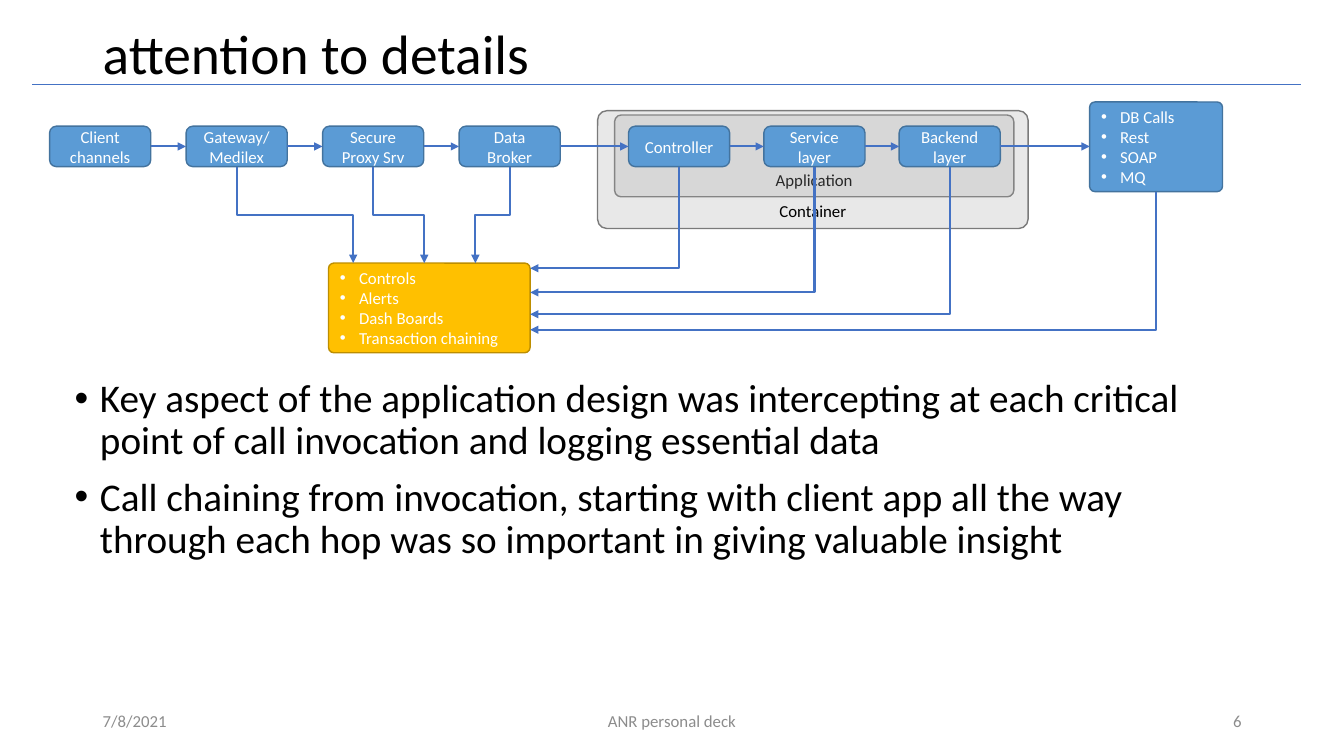
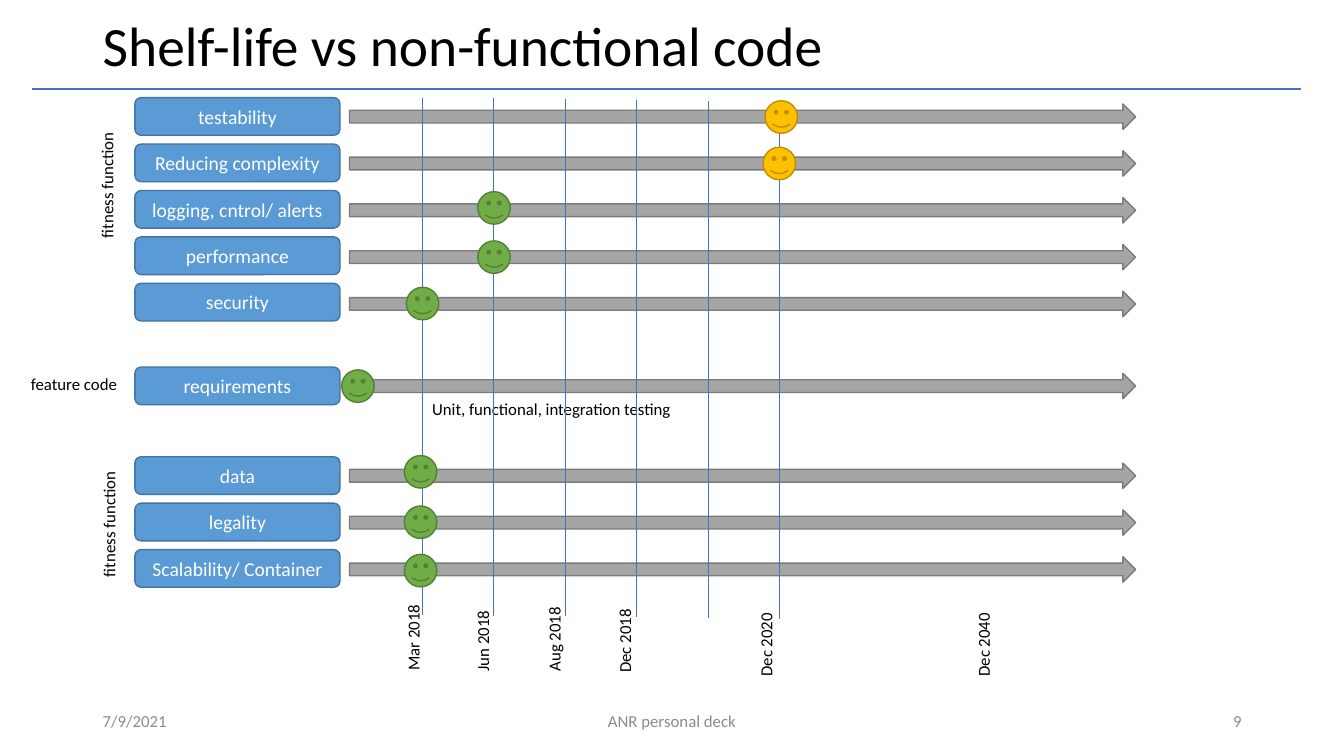
from itertools import pairwise

from lxml.etree import SubElement as Sub
from pptx import Presentation
from pptx.dml.color import RGBColor as RGB
from pptx.enum.shapes import MSO_CONNECTOR as LINK, MSO_SHAPE as SHAPE
from pptx.enum.text import MSO_ANCHOR as ANCHOR, PP_ALIGN as ALIGN
from pptx.oxml.ns import qn
from pptx.util import Cm, Pt

# Shared look
FONT = "Calibri"
BLACK, WHITE, GREY = RGB(0, 0, 0), RGB(255, 255, 255), RGB(0x8C, 0x8C, 0x8C)
RULE = RGB(0x44, 0x72, 0xC4)
BLUE = RGB(0x5B, 0x9B, 0xD5), RGB(0x43, 0x73, 0x9E)  # fill, line
STEEL = RGB(0xA5, 0xA5, 0xA5), RGB(0x7A, 0x7A, 0x7A)
AMBER = RGB(0xFF, 0xC0, 0x00), RGB(0xBD, 0x8E, 0x00)
GREEN = RGB(0x70, 0xAD, 0x47), RGB(0x53, 0x80, 0x35)
OWNER = "ANR personal deck"

# Slide 1 content
CHAIN = ["Client channels", "Gateway/ Medilex", "Secure Proxy Srv", "Data Broker"]
LAYERS = ["Controller", "Service layer", "Backend layer"]
CALLS = ["DB Calls", "Rest", "SOAP", "MQ"]
WATCH = ["Controls", "Alerts", "Dash Boards", "Transaction chaining"]
FRAMES = [  # text, left, top, width, height
    ("Application", 15.49, 2.9, 10.06, 2.06),
    ("Container", 15.06, 2.79, 10.85, 2.97),
]
POINTS = [
    "Key aspect of the application design was intercepting at each critical "
    "point of call invocation and logging essential data",
    "Call chaining from invocation, starting with client app all the way "
    "through each hop was so important in giving valuable insight",
]
DROPS = [8.9, 10.69, 11.98]  # where the chain enters the watch box
BACKS = [6.76, 7.37, 7.92, 8.31]  # heights where the layers and calls enter it

# Slide 2 content: top of each group, then text, face left, face top, face colour
GROUPS = [
    (2.46, [
        ("testability", 19.28, 2.54, AMBER),
        ("Reducing complexity", 19.23, 3.71, AMBER),
        ("logging, cntrol/ alerts", 12.04, 4.83, GREEN),
        ("performance", 12.04, 6.07, GREEN),
        ("security", 10.24, 7.24, GREEN),
    ]),
    (9.25, [("requirements", 8.61, 9.32, GREEN)]),
    (11.51, [
        ("data", 10.19, 11.48, GREEN),
        ("legality", 10.19, 12.75, GREEN),
        ("Scalability/ Container", 10.19, 13.97, GREEN),
    ]),
]
LABELS = [  # text, left, top, width, turn
    ("fitness function", 1.12, 12.78, 3.25, 270),
    ("fitness function", 1.07, 4.24, 3.25, 270),
    ("feature code", 0.53, 9.3, 3.25, 0),
    ("Unit, functional, integration testing", 10.64, 9.93, 8.08, 0),
    ("Mar 2018", 8.79, 15.14, 3.25, 270),
    ("Jun 2018", 10.54, 15.16, 3.25, 270),
    ("Aug 2018", 12.34, 15.16, 3.25, 270),
    ("Dec 2018", 14.12, 15.19, 3.25, 270),
    ("Dec 2020", 17.68, 15.29, 3.25, 270),
    ("Dec 2040", 23.16, 15.29, 3.25, 270),
]


def write(shape, lines, size, color, align=ALIGN.LEFT, anchor=ANCHOR.MIDDLE,
          indent=0, gap=0, space=None):
    """Fill a shape with paragraphs; an indent makes them bullets."""
    frame = shape.text_frame
    frame.word_wrap = True
    frame.vertical_anchor = anchor
    for i, line in enumerate(lines):
        para = frame.add_paragraph() if i else frame.paragraphs[0]
        para.text = line
        para.alignment = align
        if space:
            para.line_spacing = space
        if i and gap:
            para.space_before = Pt(gap)
        if indent:
            props = para._p.get_or_add_pPr()
            props.set("marL", str(Cm(indent)))
            props.set("indent", str(-Cm(indent)))
            Sub(props, qn("a:buFont"), typeface="Arial")
            Sub(props, qn("a:buChar"), char="•")
        font = para.font
        font.name, font.size, font.color.rgb = FONT, Pt(size), color


def label(slide, box, lines, size, color=BLACK, **style):
    shape = slide.shapes.add_textbox(*map(Cm, box))
    write(shape, lines, size, color, **style)
    return shape


def block(slide, kind, box, paint, round_by=None):
    shape = slide.shapes.add_shape(kind, *map(Cm, box))
    shape.shadow.inherit = False
    shape.fill.solid()
    shape.fill.fore_color.rgb, shape.line.color.rgb = paint
    shape.line.width = Pt(1)
    if round_by:
        shape.adjustments[0] = round_by
    return shape


def link(slide, start, end, width, kind=LINK.STRAIGHT, arrow=False):
    wire = slide.shapes.add_connector(kind, *map(Cm, (*start, *end)))
    wire.line.color.rgb, wire.line.width = RULE, Pt(width)
    if arrow:
        Sub(wire.line._get_or_add_ln(), qn("a:tailEnd"), type="triangle")
    Sub(wire._element.spPr, qn("a:effectLst"))
    return wire


def bend(slide, start, end, preset):
    """Elbow arrow that leaves downwards: a sideways elbow, turned."""
    (x1, y1), (x2, y2) = start, end
    mid_x, mid_y = (x1 + x2) / 2, (y1 + y2) / 2
    half_w, half_h = (y2 - y1) / 2, abs(x2 - x1) / 2
    right = x2 > x1
    if right:
        half_w = -half_w
    wire = link(slide, (mid_x - half_w, mid_y - half_h),
                (mid_x + half_w, mid_y + half_h), 1.5, LINK.ELBOW, True)
    props = wire._element.spPr
    props.find(qn("a:xfrm")).set("rot", str((270 if right else 90) * 60000))
    props.find(qn("a:prstGeom")).set("prst", preset)


def start_slide(deck, title, top, rule, date, number):
    slide = deck.slides.add_slide(deck.slide_layouts[6])
    label(slide, (2.34, top, 29.21, 1.83), [title], 39.6, space=0.9)
    link(slide, (0.81, rule), (32.79, rule), 1.25)
    for text, left, width, align in (
        (date, 2.34, 7.62, ALIGN.LEFT),
        (OWNER, 11.22, 11.43, ALIGN.CENTER),
        (number, 23.92, 7.62, ALIGN.RIGHT),
    ):
        label(slide, (left, 17.66, width, 1.01), [text], 12, GREY, align=align)
    return slide


def draw_flow(deck):
    slide = start_slide(deck, "attention to details", 0.5, 2.13, "7/8/2021", "6")
    label(slide, (1.63, 9.42, 29.21, 7.44), POINTS, 28, anchor=ANCHOR.TOP,
          indent=0.64, gap=10, space=0.9)

    # Nested frames, see-through
    for text, *box in FRAMES:
        frame = block(slide, SHAPE.ROUNDED_RECTANGLE, box, STEEL, 0.08)
        tint = frame.fill._xPr.find(qn("a:solidFill"))[0]
        Sub(tint, qn("a:alpha"), val="25000")
        write(frame, [text], 12, BLACK, ALIGN.CENTER, ANCHOR.BOTTOM)

    # Steps in a row
    wide, high, top = 2.55, 1.02, 3.18
    lefts = [1.25 + 3.44 * i for i in range(len(CHAIN))]
    lefts += [15.84 + 3.41 * i for i in range(len(LAYERS))]
    for text, left in zip(CHAIN + LAYERS, lefts):
        step = block(slide, SHAPE.ROUNDED_RECTANGLE, (left, top, wide, high), BLUE)
        write(step, [text], 12, WHITE, ALIGN.CENTER)

    # Bulleted boxes
    calls, watch = (27.46, 2.57, 3.35, 2.26), (8.28, 6.63, 5.08, 2.26)
    for lines, box, paint in (CALLS, calls, BLUE), (WATCH, watch, AMBER):
        card = block(slide, SHAPE.ROUNDED_RECTANGLE, box, paint, 0.06)
        write(card, lines, 12, WHITE, indent=0.48)

    # Arrows along the row, then down to the watch box
    level = top + high / 2
    for here, after in pairwise(lefts + [calls[0]]):
        link(slide, (here + wide, level), (after, level), 1.5, arrow=True)
    feet = [(left + wide / 2, top + high) for left in lefts]
    feet.append((calls[0] + calls[2] / 2, calls[1] + calls[3]))
    for foot, x in zip(feet[1:4], DROPS):
        bend(slide, foot, (x, watch[1]), "bentConnector3")
    for foot, y in zip(feet[4:], BACKS):
        bend(slide, foot, (watch[0] + watch[2], y), "bentConnector2")


def draw_life(deck):
    slide = start_slide(deck, "Shelf-life vs non-functional code", 0.3, 2.24,
                        "7/9/2021", "9")
    # Rows: name and time arrow
    faces = []
    for top, rows in GROUPS:
        for i, (text, *face) in enumerate(rows):
            pill = block(slide, SHAPE.ROUNDED_RECTANGLE,
                         (3.4, top + 1.17 * i, 5.17, 0.95), BLUE)
            write(pill, [text], 14, WHITE, ALIGN.CENTER)
            block(slide, SHAPE.RIGHT_ARROW,
                  (8.81, top + 0.16 + 1.18 * i, 19.81, 0.64), STEEL)
            faces.append(face)

    # Labels and date lines
    for text, left, top, width, turn in LABELS:
        note = label(slide, (left, top, width, 0.77), [text], 12, anchor=ANCHOR.TOP)
        note.rotation = turn
    for i in range(6):
        x, shift = 10.64 + 1.8 * i, 0.02 * i
        link(slide, (x, 2.46 + shift), (x, 15.49 + shift), 0.5)

    # Faces on top
    for left, top, paint in faces:
        block(slide, SHAPE.SMILEY_FACE, (left, top, 0.82, 0.82), paint)


def main():
    deck = Presentation()
    deck.slide_width, deck.slide_height = Cm(33.87), Cm(19.05)
    draw_flow(deck)
    draw_life(deck)
    deck.save("out.pptx")


if __name__ == "__main__":
    main()
